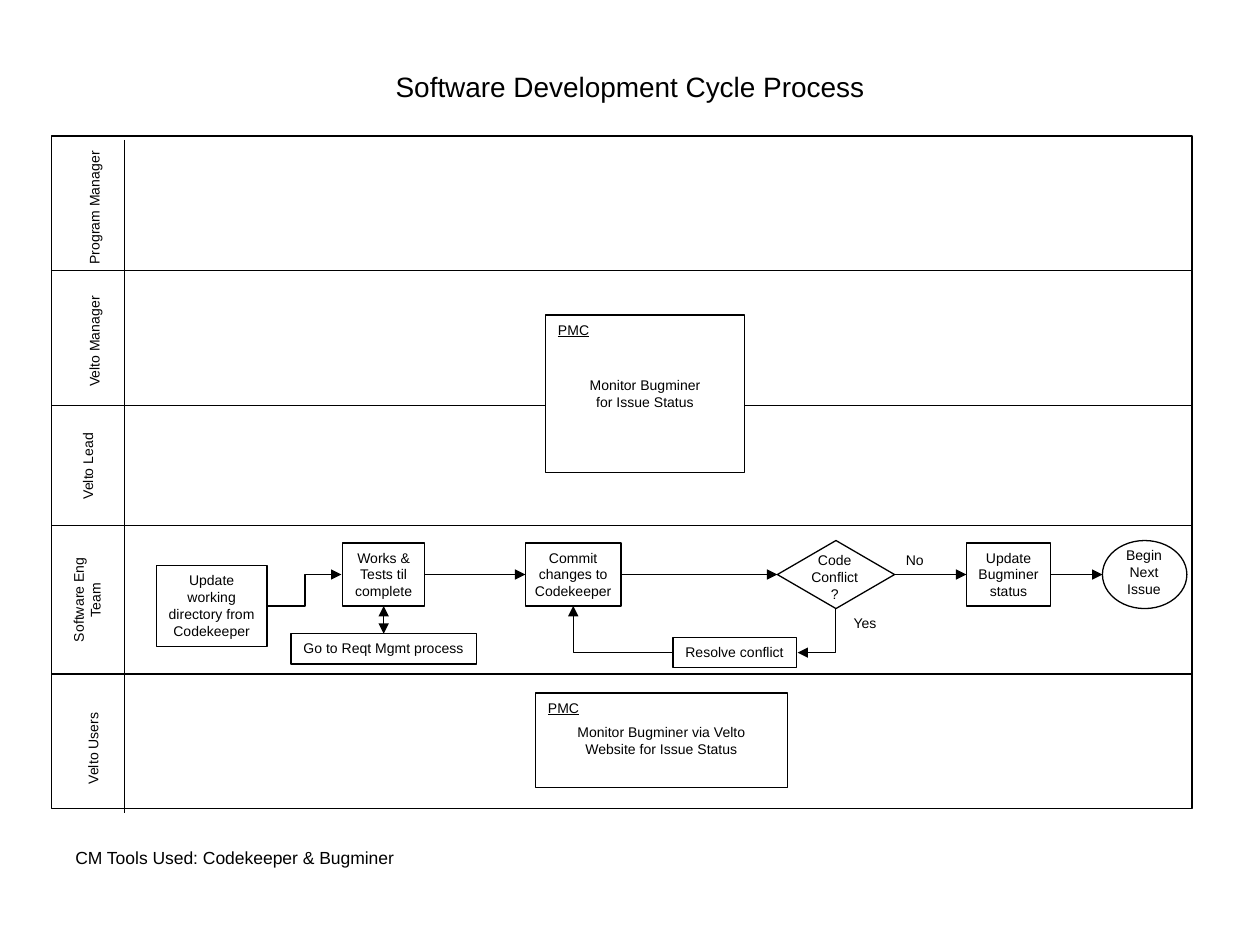
from pptx import Presentation
from pptx.dml.color import RGBColor
from pptx.enum.shapes import MSO_CONNECTOR as Link, MSO_SHAPE as Shape
from pptx.enum.text import MSO_ANCHOR as Anchor, PP_ALIGN as Align
from pptx.oxml.ns import qn
from pptx.util import Inches, Pt
from lxml import etree

COLORS = {"ink": "000000", "paper": "FFFFFF"}
FONT = "Arial"
TOP, LEFT, BOTTOM, RIGHT = range(4)

LANE_LEFT, LANE_TOP, LANE_WIDTH = 0.41, 1.08, 9.05
# label, lane height, label centre x and y, label length, label depth
LANES = [
    ("Program Manager", 1.07, 0.75, 1.65, 1.1, 0.24),
    ("Velto Manager", 1.07, 0.75, 2.71, 1.06, 0.24),
    ("Velto Lead", 0.95, 0.7, 3.7, 0.9, 0.24),
    ("Software Eng Team", 1.18, 0.69, 4.76, 1.08, 0.37),
    ("Velto Users", 1.07, 0.74, 5.94, 0.94, 0.24),
]


def color(name):
    return RGBColor.from_string(COLORS[name])


def write(shape, text, size=8, align=Align.CENTER, anchor=Anchor.TOP,
          wrap=False, underline=None):
    frame = shape.text_frame
    frame.word_wrap = wrap
    frame.vertical_anchor = anchor
    frame.text = text
    for paragraph in frame.paragraphs:
        paragraph.alignment = align
        font = paragraph.runs[0].font
        font.name, font.size, font.underline = FONT, Pt(size), underline
        font.color.rgb = color("ink")


def add_label(slide, box, text, rotation=0, **text_format):
    label = slide.shapes.add_textbox(*map(Inches, box))
    label.rotation = rotation
    write(label, text, **text_format)


def add_box(slide, box, text="", kind=Shape.RECTANGLE, filled=False,
            **text_format):
    shape = slide.shapes.add_shape(kind, *map(Inches, box))
    shape.shadow.inherit = False
    if filled:
        shape.fill.solid()
        shape.fill.fore_color.rgb = color("paper")
    else:
        shape.fill.background()
    shape.line.color.rgb = color("ink")
    shape.line.width = Pt(0.75)
    if text:
        write(shape, text, **text_format)
    return shape


def add_line(slide, start, end, kind=Link.STRAIGHT, arrows=(), corner=False):
    """Arrows holds headEnd and/or tailEnd; a corner runs across, then up."""
    line = slide.shapes.add_connector(kind, *map(Inches, start + end))
    line.line.color.rgb = color("ink")
    line.line.width = Pt(0.75)
    outline = line.line._get_or_add_ln()
    for arrow in arrows:
        etree.SubElement(outline, qn(f"a:{arrow}"), type="triangle")
    properties = line._element.spPr
    etree.SubElement(properties, qn("a:effectLst"))
    if corner:
        properties.find(qn("a:prstGeom")).set("prst", "bentConnector2")
    return line


def join(slide, source, source_site, target, target_site, arrows=("tailEnd",)):
    arrow = add_line(slide, (0, 0), (1, 1), arrows=arrows)
    arrow.begin_connect(source, source_site)
    arrow.end_connect(target, target_site)


def add_lanes(slide):
    add_line(slide, (0.99, 1.11), (0.99, 6.45))
    top = LANE_TOP
    for name, height, center_x, center_y, length, depth in LANES:
        add_box(slide, (LANE_LEFT, top, LANE_WIDTH, height))
        label_box = (center_x - length / 2, center_y - depth / 2, length, depth)
        add_label(slide, label_box, name, rotation=270, wrap=depth > 0.24)
        top += height


def add_monitor(slide, box, text):
    add_box(slide, box, text, filled=True, anchor=Anchor.MIDDLE)
    add_label(slide, (*box[:2], 0.45, 0.24), "PMC", align=Align.LEFT,
              underline=True)


def add_workflow(slide):
    # Steps
    add_box(slide, (1.24, 4.49, 0.88, 0.64),
            "Update\nworking\ndirectory from\nCodekeeper")
    works = add_box(slide, (2.72, 4.31, 0.65, 0.5),
                    "Works &\nTests til\ncomplete")
    commit = add_box(slide, (4.17, 4.31, 0.76, 0.5),
                     "Commit\nchanges to\nCodekeeper")
    conflict = add_box(slide, (6.17, 4.29, 0.93, 0.54),
                       kind=Shape.FLOWCHART_DECISION, filled=True)
    add_label(slide, (6.34, 4.33, 0.57, 0.5), "Code\nConflict\n?")
    add_box(slide, (5.34, 5.06, 0.98, 0.24), "Resolve conflict")
    status = add_box(slide, (7.67, 4.31, 0.67, 0.5),
                     "Update\nBugminer\nstatus")
    requirements = add_box(slide, (2.31, 5.03, 1.47, 0.24),
                           "Go to Reqt Mgmt process")
    add_box(slide, (8.75, 4.29, 0.67, 0.54), kind=Shape.OVAL)
    add_label(slide, (8.83, 4.29, 0.5, 0.5), "Begin Next Issue", wrap=True)

    # Main flow
    add_line(slide, (2.13, 4.81), (2.71, 4.56), Link.ELBOW, ("tailEnd",))
    join(slide, works, RIGHT, commit, LEFT)
    join(slide, commit, RIGHT, conflict, LEFT)
    join(slide, conflict, RIGHT, status, LEFT)
    to_next_issue = add_line(slide, (8.34, 4.56), (8.75, 4.56),
                             arrows=("tailEnd",))
    to_next_issue.begin_connect(status, RIGHT)
    join(slide, works, BOTTOM, requirements, TOP, ("headEnd", "tailEnd"))

    # Conflict loop
    add_line(slide, (6.33, 5.18), (6.63, 4.83), Link.ELBOW, ("headEnd",),
             corner=True)
    add_line(slide, (5.34, 5.18), (4.55, 4.81), Link.ELBOW, ("tailEnd",),
             corner=True)
    add_label(slide, (6.67, 4.83, 0.39, 0.24), "Yes")
    add_label(slide, (7.09, 4.33, 0.34, 0.24), "No")


def main():
    deck = Presentation()
    deck.slide_width, deck.slide_height = Inches(10), Inches(7.5)
    slide = deck.slides.add_slide(deck.slide_layouts[6])

    # Title and footer
    add_label(slide, (3.04, 0.5, 3.92, 0.37),
              "Software Development Cycle Process", size=16)
    add_label(slide, (0.5, 6.67, 3, 0.27),
              "CM Tools Used: Codekeeper & Bugminer", size=10, align=Align.LEFT)

    # Swimlanes and their contents
    add_lanes(slide)
    add_workflow(slide)
    add_monitor(slide, (4.33, 2.5, 1.58, 1.25),
                "Monitor Bugminer\nfor Issue Status")
    add_monitor(slide, (4.25, 5.5, 2, 0.75),
                "Monitor Bugminer via Velto\nWebsite for Issue Status")

    deck.save("out.pptx")


if __name__ == "__main__":
    main()
